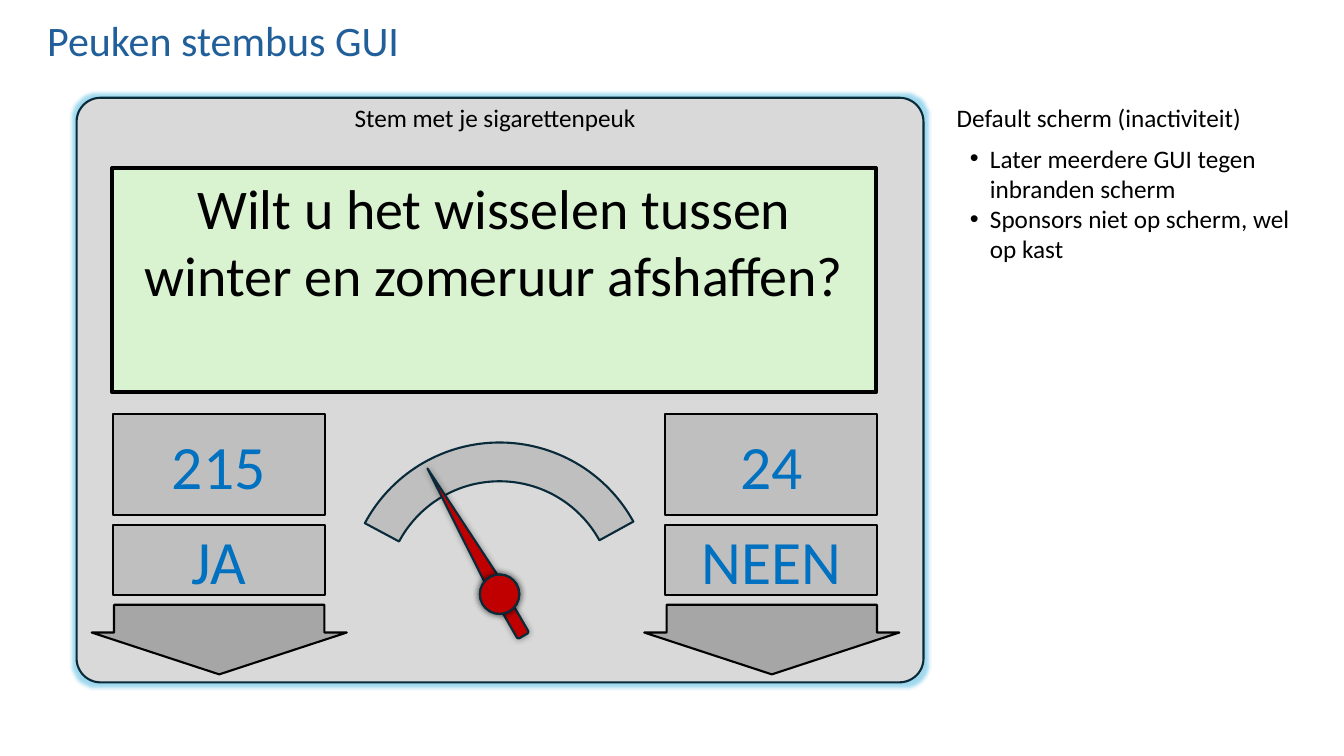
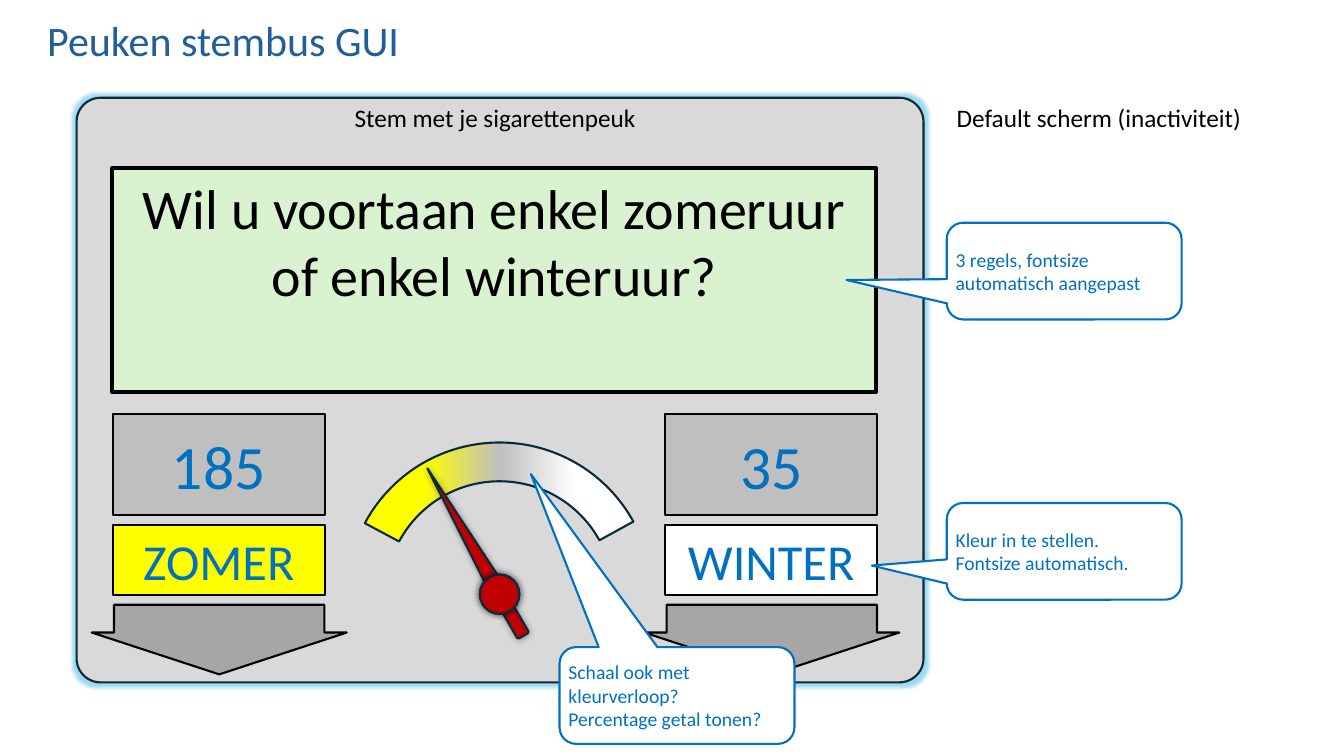
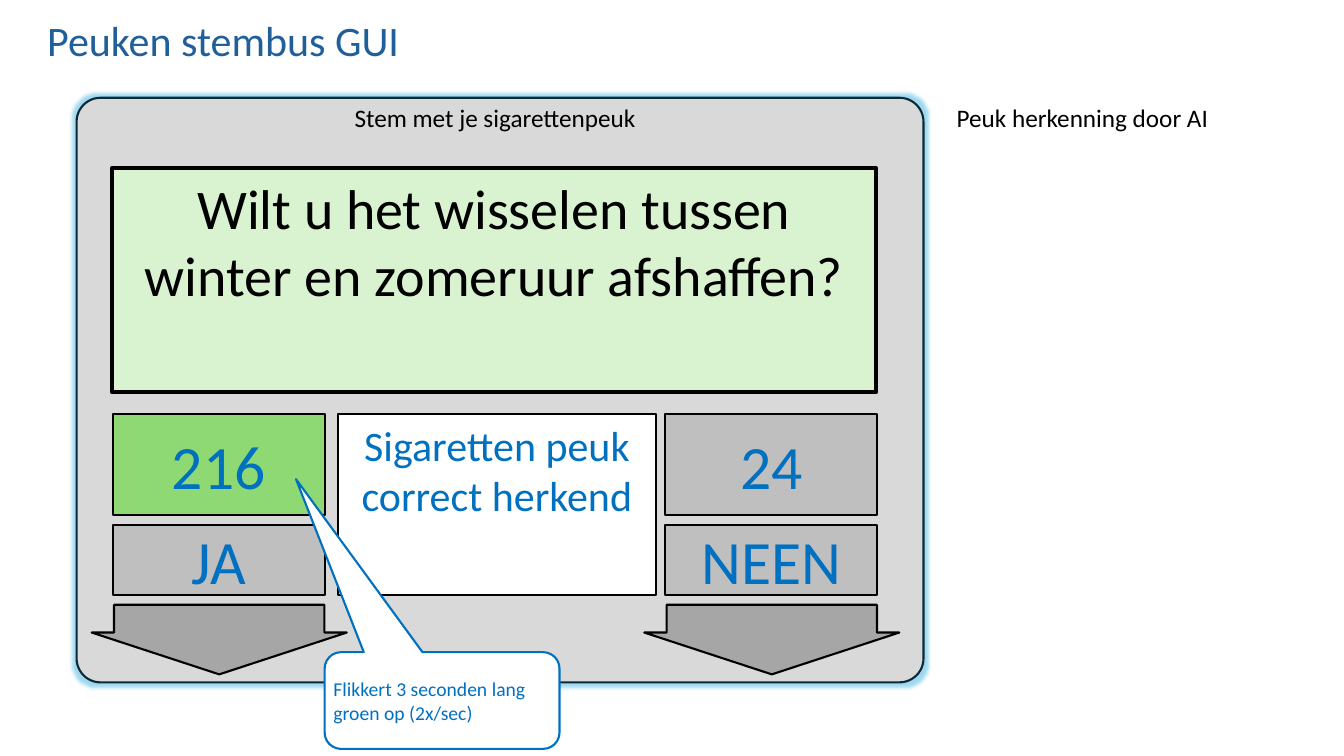
import pptx
import pptx.dml.color
import pptx.enum.shapes
import pptx.enum.text
import pptx.oxml.ns
import pptx.util
from lxml import etree

Inches, Pt = pptx.util.Inches, pptx.util.Pt
MSO = pptx.enum.shapes.MSO_SHAPE
ALIGN = pptx.enum.text.PP_ALIGN
ANCHOR = pptx.enum.text.MSO_ANCHOR
qn = pptx.oxml.ns.qn

# Shared style
FONT = "Calibri"
TITLE, BLACK, WHITE, BLUE = "215F9A", "000000", "FFFFFF", "0070C0"
PANEL, SCREEN, GREY, ARROW = "D9D9D9", "D9F2D0", "BFBFBF", "A6A6A6"
EDGE, RED, GREEN, YELLOW, GLOW = "092A39", "C00000", "8ED973", "FFFF00", "0F9ED5"
SEASON_SCALE = [(0, YELLOW), (25, YELLOW), (50, GREY), (75, WHITE), (100, WHITE)]
COLUMN_LEFTS = (1.12, 6.6)
NOTE_LEFT = 9.39
CLOCK_QUESTION = "Wilt u het wisselen tussen winter en zomeruur afshaffen?"


def rgb(color):
    return pptx.dml.color.RGBColor.from_string(color)


def add_xml(parent, tag, **attrs):
    return etree.SubElement(parent, qn(tag), {k: str(v) for k, v in attrs.items()})


def add_color(parent, color, alpha=None):
    clr = add_xml(parent, "a:srgbClr", val=color)
    if alpha is not None:
        add_xml(clr, "a:alpha", val=alpha * 1000)


# Text
def write(shape, lines, size, color, align=ALIGN.LEFT, anchor=ANCHOR.TOP, inset=None):
    tf = shape.text_frame
    tf.word_wrap = True
    tf.vertical_anchor = anchor
    if inset is not None:
        tf.margin_left = tf.margin_right = Inches(inset)
        tf.margin_top = tf.margin_bottom = Inches(inset)
    tf.text = "\n".join(lines)
    for p in tf.paragraphs:
        p.alignment = align
        p.font.name, p.font.size = FONT, Pt(size)
        p.font.color.rgb = rgb(color)
    return tf


def add_text(slide, box, lines, size=18, color=BLACK, **style):
    sp = slide.shapes.add_textbox(*map(Inches, box))
    return write(sp, lines, size, color, **style)


def add_bullets(slide, box, lines):
    for p in add_text(slide, box, lines).paragraphs:
        pPr = p._p.get_or_add_pPr()
        pPr.set("marL", str(Inches(0.2)))
        pPr.set("indent", str(Inches(-0.2)))
        add_xml(pPr, "a:buFont", typeface="Arial")
        add_xml(pPr, "a:buChar", char="•")


# Shapes
def add_shape(shapes, kind, box, fill, line=BLACK, width=1.5, adj=(), rotation=0):
    sp = shapes.add_shape(kind, *map(Inches, box))
    sp.shadow.inherit = False
    sp.rotation = rotation
    sp.fill.solid()
    sp.fill.fore_color.rgb = rgb(fill)
    sp.line.color.rgb = rgb(line)
    sp.line.width = Pt(width)
    for i, value in enumerate(adj):
        sp.adjustments[i] = value
    return sp


def add_effect(sp, tag, color, alpha, **attrs):
    effects = sp._element.spPr.find(qn("a:effectLst"))
    add_color(add_xml(effects, tag, **attrs), color, alpha)


def set_gradient(sp, stops):
    sp.fill.gradient()
    sp.fill.gradient_angle = 0
    gs_list = sp._element.spPr.find(".//" + qn("a:gsLst"))
    for gs in list(gs_list):
        gs_list.remove(gs)
    for pos, color in stops:
        add_color(add_xml(gs_list, "a:gs", pos=pos * 1000), color)


def add_box(slide, box, text, size, fill, color=BLUE, anchor=ANCHOR.MIDDLE,
            width=1.5, inset=None):
    sp = add_shape(slide.shapes, MSO.RECTANGLE, box, fill, width=width)
    write(sp, [text], size, color, ALIGN.CENTER, anchor, inset)


def add_callout(slide, left, top, tip, lines):
    sp = add_shape(slide.shapes, MSO.ROUNDED_RECTANGULAR_CALLOUT,
                   (left, top, 2.33, 0.96), WHITE, BLUE, adj=(*tip, 0.17))
    write(sp, lines, 14, BLUE, anchor=ANCHOR.MIDDLE, inset=0.04)


# Parts of the voting screen
def add_answer(slide, left, count, label, count_fill=GREY, label_fill=GREY,
               label_size=44, inset=None):
    add_shape(slide.shapes, MSO.DOWN_ARROW, (left - 0.21, 6, 2.53, 0.69), ARROW,
              adj=(0.825, 0.601))
    add_box(slide, (left, 5.21, 2.1, 0.69), label, label_size, label_fill, inset=inset)
    add_box(slide, (left, 4.11, 2.1, 1), count, 44, count_fill)


def add_meter(slide, scale=None):
    shapes = slide.shapes.add_group_shape().shapes
    arc = add_shape(shapes, MSO.BLOCK_ARC, (3.44, 4.39, 3.03, 3.03), GREY, EDGE,
                    adj=(124.883, 198.714, 0.127))
    if scale:
        set_gradient(arc, scale)
    hub = (4.76, 5.7, 0.39, 0.39)
    needle = [(MSO.ISOSCELES_TRIANGLE, (4.52, 4.55, 0.17, 1.46), 330),
              (MSO.ROUNDED_RECTANGLE, (5.01, 5.87, 0.13, 0.47), 330),
              (MSO.OVAL, hub, 330), (MSO.OVAL, hub, 0)]
    for kind, box, rotation in needle:
        sp = add_shape(shapes, kind, box, RED, EDGE, rotation=rotation)
        add_effect(sp, "a:outerShdw", BLACK, 40, blurRad=Pt(5), dist=0, dir=0,
                   algn="ctr", rotWithShape=0)


def add_screen(prs, state, question, answers):
    slide = prs.slides.add_slide(prs.slide_layouts[6])
    title = add_text(slide, (0.37, 0.18, 12.05, 0.49), ["Peuken stembus GUI"], 30,
                     TITLE, anchor=ANCHOR.MIDDLE)
    title.paragraphs[0].line_spacing = 0.9
    panel = add_shape(slide.shapes, MSO.ROUNDED_RECTANGLE, (0.76, 0.97, 8.4, 5.8),
                      PANEL, EDGE, adj=(0.041,))
    add_effect(panel, "a:glow", GLOW, 40, rad=Pt(5))
    add_text(slide, (NOTE_LEFT, 0.97, 3.61, 0.4), [state])
    add_text(slide, (1.12, 0.97, 7.58, 0.4), ["Stem met je sigarettenpeuk"],
             align=ALIGN.CENTER)
    add_box(slide, (1.11, 1.67, 7.58, 2.22), question, 40, SCREEN, BLACK,
            ANCHOR.TOP, width=3)
    for left, answer in zip(COLUMN_LEFTS, answers):
        add_answer(slide, left, **answer)
    return slide


def main():
    prs = pptx.Presentation()
    prs.slide_width, prs.slide_height = Inches(13.33), Inches(7.5)

    # Default screen
    no = dict(count="24", label="NEEN")
    slide = add_screen(prs, "Default scherm (inactiviteit)", CLOCK_QUESTION,
                       [dict(count="215", label="JA"), no])
    add_bullets(slide, (9.52, 1.37, 3.48, 5.32),
                ["Later meerdere GUI tegen inbranden scherm",
                 "Sponsors niet op scherm, wel op kast"])
    add_meter(slide)

    # Default screen with coloured answers
    season = dict(label_size=36, inset=0)
    slide = add_screen(prs, "Default scherm (inactiviteit)",
                       "Wil u voortaan enkel zomeruur of enkel winteruur?",
                       [dict(count="185", label="ZOMER", label_fill=YELLOW, **season),
                        dict(count="35", label="WINTER", label_fill=WHITE, **season)])
    add_meter(slide, SEASON_SCALE)
    add_callout(slide, NOTE_LEFT, 2.21, (-0.927, 0.092),
                ["3 regels, fontsize automatisch aangepast"])
    add_callout(slide, NOTE_LEFT, 4.99, (-0.819, 0.147),
                ["Kleur in te stellen.", "Fontsize automatisch."])
    add_callout(slide, 5.55, 6.42, (-0.622, -2.288),
                ["Schaal ook met kleurverloop?", "Percentage getal tonen?"])

    # Vote recognised
    slide = add_screen(prs, "Peuk herkenning door AI", CLOCK_QUESTION,
                       [dict(count="216", label="JA", count_fill=GREEN), no])
    add_box(slide, (3.35, 4.11, 3.16, 1.79), "Sigaretten peuk correct herkend", 30,
            WHITE, anchor=ANCHOR.TOP)
    add_callout(slide, 3.22, 6.47, (-0.622, -2.288),
                ["Flikkert 3 seconden lang groen op (2x/sec)"])

    prs.save("out.pptx")


if __name__ == "__main__":
    main()
